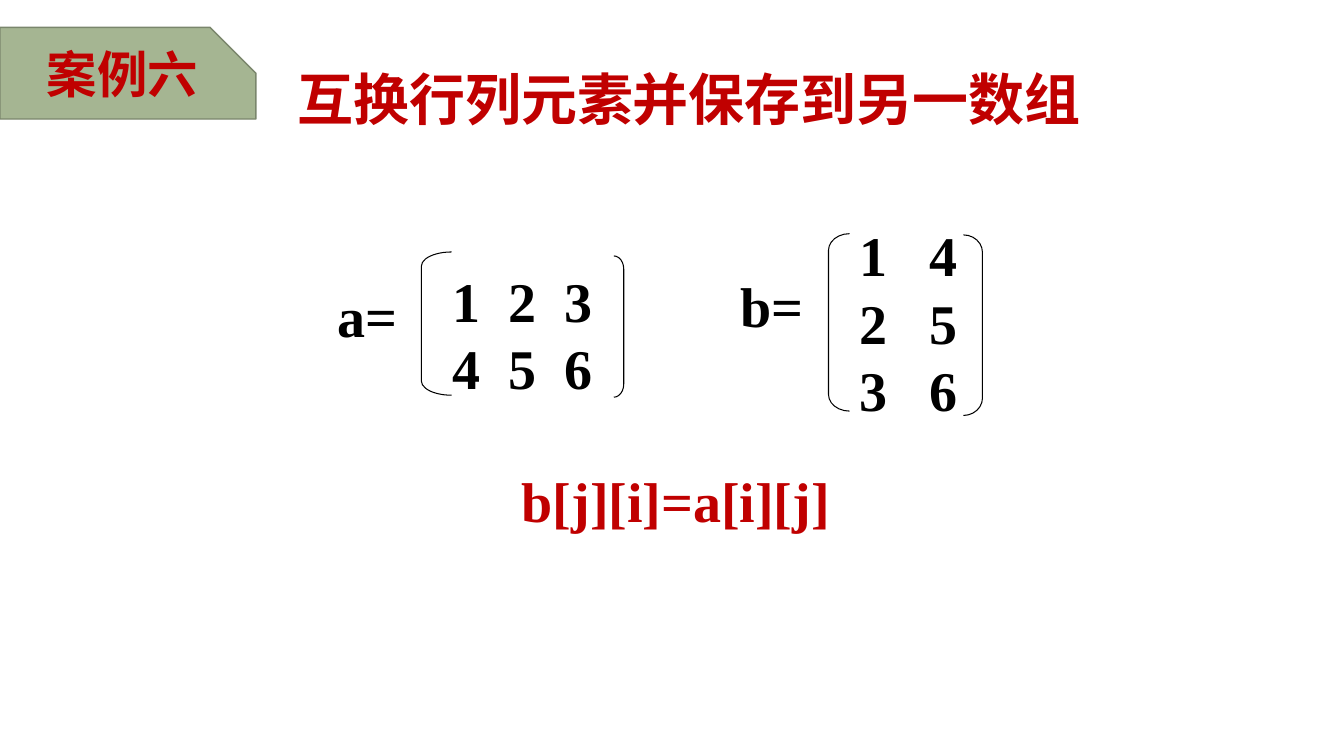
from dataclasses import dataclass

from lxml import etree
from pptx import Presentation
from pptx import util as u
from pptx.dml.color import RGBColor
from pptx.enum import shapes, text
from pptx.oxml.ns import qn

Cm, Pt = u.Cm, u.Pt


@dataclass(frozen=True)
class Theme:
    red: RGBColor = RGBColor(0xC0, 0x00, 0x00)
    black: RGBColor = RGBColor(0x00, 0x00, 0x00)
    badge_fill: RGBColor = RGBColor(0xA5, 0xB5, 0x92)
    badge_line: RGBColor = RGBColor(0x7A, 0x86, 0x6C)
    heading_font: str = "Noto Sans CJK SC"
    math_font: str = "Times New Roman"
    body_size: float = 40
    badge_size: float = 36
    math_leading: float = 48
    bracket_width: float = 0.75
    badge_width: float = 1


@dataclass(frozen=True)
class Area:
    """A place on the slide, in centimetres."""
    left: float
    top: float
    width: float
    height: float

    def lengths(self) -> tuple:
        return Cm(self.left), Cm(self.top), Cm(self.width), Cm(self.height)


@dataclass(frozen=True)
class Bracket:
    kind: shapes.MSO_SHAPE
    area: Area
    curve: float


@dataclass(frozen=True)
class Matrix:
    name: str
    name_area: Area
    rows: tuple
    rows_area: Area
    column_step: float
    brackets: tuple


THEME = Theme()
LEFT, RIGHT = shapes.MSO_SHAPE.LEFT_BRACKET, shapes.MSO_SHAPE.RIGHT_BRACKET
MATRICES = (
    Matrix("a=", Area(8.26, 6.96, 2.03, 1.96),
           ((1, 2, 3), (4, 5, 6)), Area(11.15, 6.58, 4.22, 3.63), 1.41,
           (Bracket(LEFT, Area(10.62, 6.35, 0.76, 3.61), 0.47),
            Bracket(RIGHT, Area(15.47, 6.45, 0.25, 3.56), 1.33))),
    Matrix("b=", Area(18.42, 6.73, 2.11, 1.96),
           ((1, 4), (2, 5), (3, 6)), Area(21.41, 5.44, 3.1, 5.33), 1.76,
           (Bracket(LEFT, Area(20.88, 5.89, 0.53, 4.47), 0.79),
            Bracket(RIGHT, Area(24.28, 5.92, 0.48, 4.55), 0.92))),
)


def add_span(para, words: str, font: str, size: float, color: RGBColor) -> None:
    span = para.add_run()
    span.text = words
    span.font.name = font
    span.font.size = Pt(size)
    span.font.bold = True
    span.font.color.rgb = color
    east_asian = etree.Element(qn("a:ea"), typeface=font)
    span.font._element.find(qn("a:latin")).addnext(east_asian)


def add_tabs(para, step: float, count: int) -> None:
    """Set evenly spaced left tab stops, step in centimetres."""
    tabs = etree.SubElement(para._p.get_or_add_pPr(), qn("a:tabLst"))
    for index in range(1, count + 1):
        etree.SubElement(tabs, qn("a:tab"), pos=str(Cm(step * index)), algn="l")


def add_math(parent, area: Area, lines: list[str], color: RGBColor,
             column_step: float = 0) -> None:
    """Write serif lines; tabs in them fall on multiples of column_step."""
    frame = parent.add_textbox(*area.lengths()).text_frame
    frame.word_wrap = column_step > 0
    for index, line in enumerate(lines):
        para = frame.add_paragraph() if index else frame.paragraphs[0]
        if column_step:
            add_tabs(para, column_step, line.count("\t"))
        para.line_spacing = Pt(THEME.math_leading)
        add_span(para, line, THEME.math_font, THEME.body_size, color)


def add_bracket(parent, bracket: Bracket) -> None:
    shape = parent.add_shape(bracket.kind, *bracket.area.lengths())
    shape.adjustments[0] = bracket.curve
    shape.shadow.inherit = False
    shape.fill.background()
    shape.line.color.rgb = THEME.black
    shape.line.width = Pt(THEME.bracket_width)


def add_matrix(page, matrix: Matrix) -> None:
    parent = page.shapes.add_group_shape().shapes
    add_math(parent, matrix.name_area, [matrix.name], THEME.black)
    lines = ["\t".join(map(str, row)) for row in matrix.rows]
    add_math(parent, matrix.rows_area, lines, THEME.black, matrix.column_step)
    for bracket in matrix.brackets:
        add_bracket(parent, bracket)


def fill_title(page, words: str, area: Area) -> None:
    title = page.shapes.title
    title.left, title.top, title.width, title.height = area.lengths()
    frame = title.text_frame
    frame.word_wrap = False
    frame.auto_size = text.MSO_AUTO_SIZE.NONE
    frame.vertical_anchor = text.MSO_ANCHOR.MIDDLE
    para = frame.paragraphs[0]
    para.alignment = text.PP_ALIGN.LEFT
    add_span(para, words, THEME.heading_font, THEME.body_size, THEME.red)


def add_badge(page, words: str) -> None:
    parent = page.shapes.add_group_shape().shapes
    plate = parent.add_shape(shapes.MSO_SHAPE.SNIP_1_RECTANGLE,
                             *Area(0, 0.69, 6.45, 2.31).lengths())
    plate.adjustments[0] = 0.5
    plate.shadow.inherit = False
    plate.fill.solid()
    plate.fill.fore_color.rgb = THEME.badge_fill
    plate.line.color.rgb = THEME.badge_line
    plate.line.width = Pt(THEME.badge_width)

    frame = parent.add_textbox(*Area(0.36, 0.48, 5.46, 2.74).lengths()).text_frame
    frame.word_wrap = True
    frame.vertical_anchor = text.MSO_ANCHOR.MIDDLE
    para = frame.paragraphs[0]
    para.alignment = text.PP_ALIGN.CENTER
    add_span(para, words, THEME.heading_font, THEME.badge_size, THEME.red)


def main() -> None:
    deck = Presentation()
    deck.slide_width, deck.slide_height = Cm(33.87), Cm(19.05)
    page = deck.slides.add_slide(deck.slide_layouts.get_by_name("Title Only"))
    fill_title(page, "互换行列元素并保存到另一数组", Area(7.24, 1.5, 20.52, 1.96))
    for matrix in MATRICES:
        add_matrix(page, matrix)
    add_math(page.shapes, Area(12.9, 11.63, 8.38, 1.98), ["b[j][i]=a[i][j]"], THEME.red)
    add_badge(page, "案例六")
    deck.save("out.pptx")


if __name__ == "__main__":
    main()
